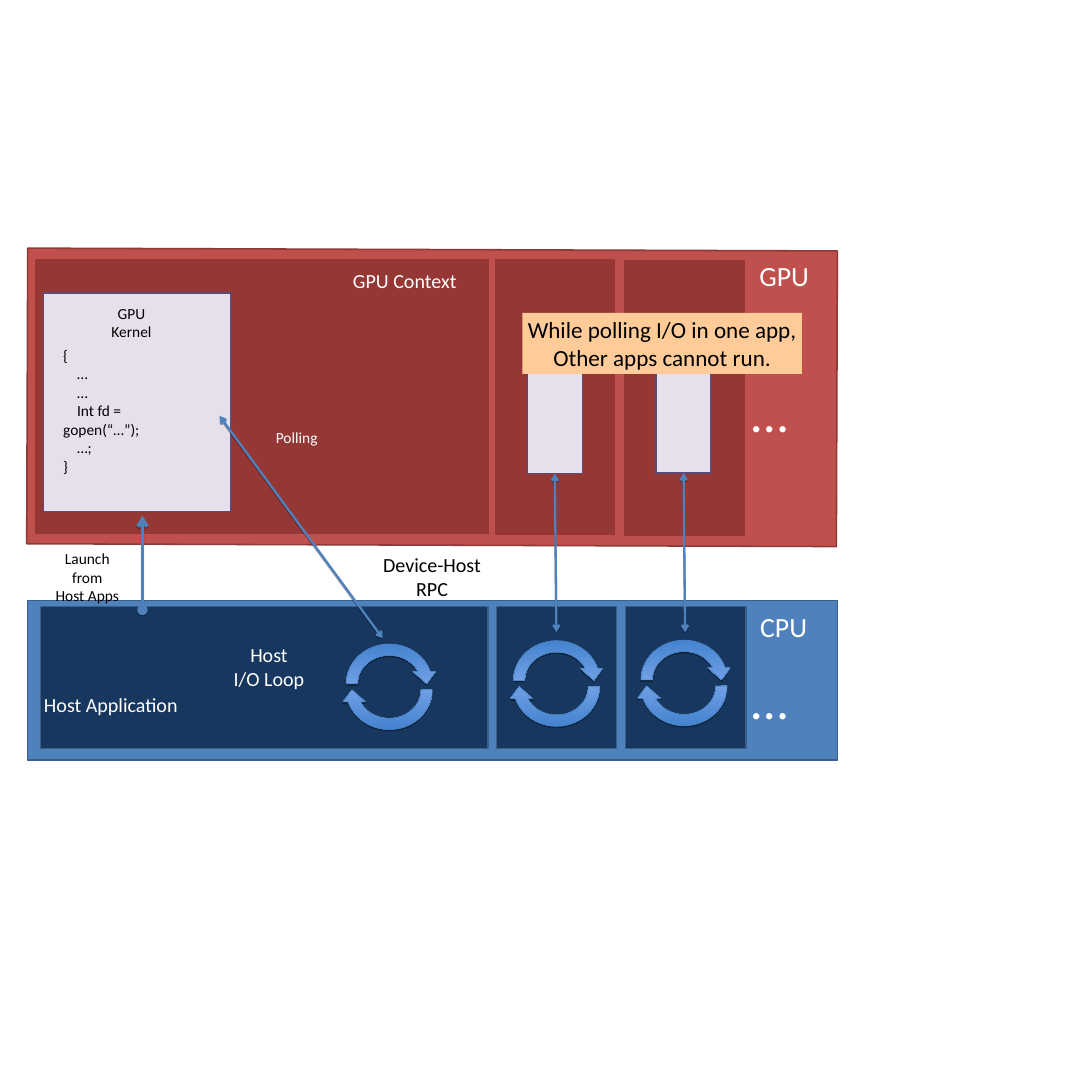
"""Draw the GPU and CPU polling diagram on one square slide."""
import pptx
import pptx.util
import pptx.dml.color
import pptx.enum.shapes
import pptx.enum.text
import pptx.oxml.ns
import lxml.etree

Pt = pptx.util.Pt
RGB = pptx.dml.color.RGBColor
KIND = pptx.enum.shapes.MSO_SHAPE
ALIGN = pptx.enum.text.PP_ALIGN
qn = pptx.oxml.ns.qn

BLACK, WHITE = RGB(0, 0, 0), RGB(255, 255, 255)
BLUE, NAVY, EDGE = RGB(0x4F, 0x81, 0xBD), RGB(0x17, 0x37, 0x5E), RGB(0x3A, 0x5F, 0x8B)
RED, WINE, RUST = RGB(0xC0, 0x50, 0x4D), RGB(0x95, 0x37, 0x35), RGB(0x8E, 0x3B, 0x38)
LILAC, PLUM = RGB(0xE6, 0xE0, 0xEC), RGB(0x5E, 0x49, 0x77)
PEACH = RGB(0xFF, 0xCC, 0x99)
DEEP, PALE, RIM = RGB(0x3E, 0x7F, 0xCC), RGB(0xA4, 0xC1, 0xFF), RGB(0x4A, 0x7E, 0xBB)

SIDE = 1417.68
CPU = (36, 779.8, 1051.2, 206.6)
GPU = (35.3, 324, 1051.2, 383.8)
HOSTS = [(52.6, 787.7, 581, 184.3), (644.4, 787.7, 156.2, 184.3), (812.2, 787.7, 156.2, 184.3)]
AREAS = [(43.9, 334.8, 591.8, 360), (641.5, 335.5, 158.4, 360), (809.3, 337, 158.4, 360)]
KERNEL = (56.2, 380.2, 243.4, 283.7)
SMALL = [(684.7, 462.2, 71.3, 152.6), (851.8, 461.5, 71.3, 152.6)]
LOOPS = [(442.1, 828.7), (659.2, 824.4), (824.8, 823.7)]
LOOP_W, LOOP_H, LOOP_GAP = 126.7, 118.1, 7.9
RPC_END = 820.8
LAUNCH = (185, 792, 185, 669.6)
POLL = (285.1, 540, 496.8, 828.7)
NOTE = (678.2, 406.1, 362.9, 79.2)
NOTE_TEXT = ["While polling I/O in one app,", "Other apps cannot run."]
CODE = ["{", "    …", "    …", "    Int fd = gopen(“…”);", "    …;", "}"]

MID, LEFT = ALIGN.CENTER, ALIGN.LEFT
LABELS = [
    ((117.4, 391, 106.6, 31), ["GPU Kernel"], 20, BLACK, MID, False),
    ((74.9, 445.7, 193, 151.2), CODE, 20, BLACK, LEFT, False),
    ((466.6, 714.2, 188.6, 38.2), ["Device-Host RPC"], 26, BLACK, MID, False),
    ((273.6, 552.2, 223.2, 31), ["Polling"], 20, WHITE, MID, True),
    ((55.4, 709.9, 115.9, 55.4), ["Launch from", "Host Apps"], 20, BLACK, MID, False),
    ((971.3, 332.6, 93.6, 50.4), ["GPU"], 36, WHITE, MID, True),
    ((970.6, 787.7, 93.6, 50.4), ["CPU"], 36, WHITE, MID, True),
    ((968.4, 490.3, 87.8, 89.3), ["…"], 68.3, WHITE, LEFT, True),
    ((968.4, 862.6, 87.8, 89.3), ["…"], 68.3, WHITE, LEFT, True),
    ((424.8, 345.6, 201.6, 38.2), ["GPU Context"], 26, WHITE, MID, True),
    ((237.6, 830.9, 223.2, 69.1), ["Host", "I/O Loop"], 26, WHITE, MID, True),
    ((43.2, 895.7, 201.6, 38.2), ["Host Application"], 26, WHITE, MID, True),
]

deck = pptx.Presentation()
deck.slide_width = deck.slide_height = Pt(SIDE)
shapes = deck.slides.add_slide(deck.slide_layouts[6]).shapes


def child(node, tag, **attrs):
    return lxml.etree.SubElement(node, qn(tag), attrs)


def shade(props):
    list_el = props.find(qn("a:effectLst"))
    if list_el is None:
        list_el = child(props, "a:effectLst")
    drop = child(list_el, "a:outerShdw", blurRad="0", dist=str(Pt(1.8)),
                 dir="5400000", rotWithShape="0")
    color = child(drop, "a:srgbClr", val="000000")
    child(color, "a:alpha", val="35000")


def rect(place, fill, edge=None):
    box = shapes.add_shape(KIND.RECTANGLE, *map(Pt, place))
    box.shadow.inherit = False
    box.fill.solid()
    box.fill.fore_color.rgb = fill
    if edge is None:
        box.line.fill.background()
    else:
        box.line.color.rgb = edge
        box.line.width = Pt(2)
    return box


def write(box, lines, size, color, align, wrap):
    frame = box.text_frame
    frame.word_wrap = wrap
    frame.auto_size = pptx.enum.text.MSO_AUTO_SIZE.SHAPE_TO_FIT_TEXT
    frame.vertical_anchor = pptx.enum.text.MSO_ANCHOR.TOP
    for i, line in enumerate(lines):
        para = frame.add_paragraph() if i else frame.paragraphs[0]
        para.alignment = align
        run = para.add_run()
        run.text = line
        run.font.name = "Calibri"
        run.font.size = Pt(size)
        run.font.color.rgb = color


def arrow(ends, width, head="arrow"):
    link = shapes.add_connector(pptx.enum.shapes.MSO_CONNECTOR.STRAIGHT, *map(Pt, ends))
    link.line.color.rgb = BLUE
    link.line.width = Pt(width)
    stroke = link.line._get_or_add_ln()
    child(stroke, "a:headEnd", type=head)
    child(stroke, "a:tailEnd", type="arrow")
    shade(link._element.spPr)
    return link


def loop(x, y):
    group = shapes.add_group_shape()
    for turn in range(2):
        arc = group.shapes.add_shape(KIND.CIRCULAR_ARROW, Pt(x), Pt(y + turn * LOOP_GAP),
                                     Pt(LOOP_W), Pt(LOOP_H))
        arc.shadow.inherit = False
        arc.fill.gradient()
        arc.fill.gradient_angle = 270
        for stop, color in zip(arc.fill.gradient_stops, (DEEP, PALE)):
            stop.color.rgb = color
        arc.line.color.rgb = RIM
        arc.line.width = Pt(0.75)
        shade(arc._element.spPr)
        if turn:
            for flip in ("flipH", "flipV"):
                arc._element.spPr.xfrm.set(flip, "1")


rect(CPU, BLUE, EDGE)
rect(GPU, RED, RUST).rotation = 0.2
for place in HOSTS:
    rect(place, NAVY, EDGE)
for place in AREAS:
    rect(place, WINE, RED)
rect(KERNEL, LILAC, PLUM)
for place, *style in LABELS:
    write(shapes.add_textbox(*map(Pt, place)), *style)
for place in SMALL:
    box = rect(place, LILAC, PLUM)
    x, y, w, h = place
    arrow((x + w / 2, y + h, x + w / 2 + 2, RPC_END), 3).begin_connect(box, 2)
for spot in LOOPS:
    loop(*spot)
arrow(LAUNCH, 4.5, "oval")
arrow(POLL, 3)
write(rect(NOTE, PEACH), NOTE_TEXT, 30, BLACK, MID, False)

deck.save("out.pptx")
